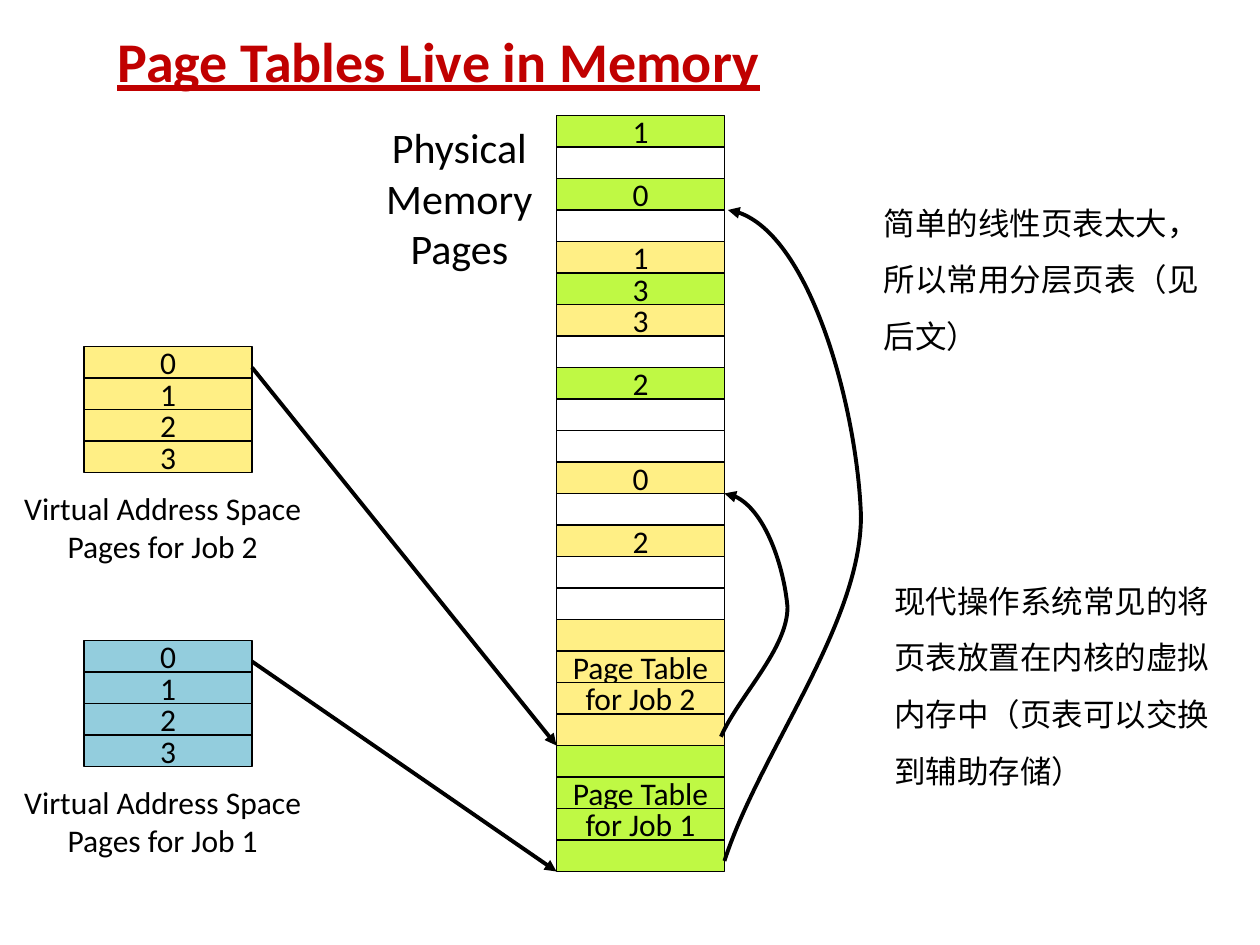
from lxml.etree import SubElement
from pptx import Presentation
from pptx.dml.color import RGBColor
from pptx.enum.shapes import MSO_CONNECTOR, MSO_SHAPE
from pptx.enum.text import MSO_ANCHOR, MSO_AUTO_SIZE, PP_ALIGN
from pptx.oxml.ns import qn
from pptx.util import Pt

THEME = {
    "latin": "Calibri", "cjk": "Noto Sans CJK SC",
    "title": 32, "label": 24, "body": 18,
    "red": "C00000", "black": "000000", "white": "FFFFFF",
    "blue": "93CDDD", "green": "BFF944", "yellow": "FFEF85",
}
CELL_W, CELL_H = 96, 18
JOB_X, MEMORY_X, MEMORY_Y = 48, 318, 66

TITLE = "Page Tables Live in Memory"
MEMORY_LABEL = ["Physical Memory", "Pages"]
JOBS = [
    ("Virtual Address Space Pages for Job 1", "blue", 366),
    ("Virtual Address Space Pages for Job 2", "yellow", 198),
]
MEMORY = [
    ("1", "green"), ("", "white"), ("0", "green"), ("", "white"),
    ("1", "yellow"), ("3", "green"), ("3", "yellow"), ("", "white"),
    ("2", "green"), ("", "white"), ("", "white"), ("0", "yellow"),
    ("", "white"), ("2", "yellow"), ("", "white"), ("", "white"),
]
PAGE_TABLES = [("Job 2", "yellow"), ("Job 1", "green")]
NOTES = [
    ("简单的线性页表太大，所以常用分层页表（见后文）", 498, 102, 101.5),
    ("现代操作系统常见的将页表放置在内核的虚拟内存中（页表可以交换到辅助存储）", 504, 318, 134),
]
ARROWS = [((144, 210), (318, 426)), ((144, 378), (318, 498))]
CURVES = [
    [(412.5, 421), (422, 397.5), (450, 371), (450, 347),
     (448.5, 324.5), (435, 283.5), (413.5, 281.5)],
    [(414, 492), (433.5, 430), (492, 357), (492, 295),
     (489.5, 234.5), (461, 126), (416, 120)],
]


def rgb(name):
    """Return a theme colour."""
    return RGBColor.from_string(THEME[name])


def set_font(p, size="body", color="black", face="latin"):
    """Style a whole paragraph."""
    p.font.name = THEME[face]
    p.font.size = Pt(THEME[size])
    p.font.color.rgb = rgb(color)
    if face == "cjk":
        ea = SubElement(p._p.pPr.find(qn("a:defRPr")), qn("a:ea"))
        ea.set("typeface", THEME[face])


def add_text(s, lines, x, y, w, h, align=None, spacing=None, **font):
    """Add a wrapping text box and return its text frame."""
    tf = s.shapes.add_textbox(Pt(x), Pt(y), Pt(w), Pt(h)).text_frame
    tf.word_wrap = True
    tf.auto_size = MSO_AUTO_SIZE.SHAPE_TO_FIT_TEXT
    tf.text = "\n".join(lines)
    for p in tf.paragraphs:
        p.alignment = align
        p.line_spacing = spacing
        set_font(p, **font)
    return tf


def add_stack(shapes, cells, x, y):
    """Stack page cells downwards from a top left corner."""
    for i, (text, color) in enumerate(cells):
        sp = shapes.add_shape(MSO_SHAPE.RECTANGLE, Pt(x), Pt(y + i * CELL_H), Pt(CELL_W), Pt(CELL_H))
        sp.shadow.inherit = False
        sp.fill.solid()
        sp.fill.fore_color.rgb = rgb(color)
        sp.line.color.rgb = rgb("black")
        sp.line.width = Pt(1)
        if text:
            tf = sp.text_frame
            tf.margin_left = tf.margin_right = tf.margin_top = tf.margin_bottom = 0
            tf.word_wrap = False
            tf.vertical_anchor = MSO_ANCHOR.MIDDLE
            tf.text = text
            p = tf.paragraphs[0]
            p.alignment = PP_ALIGN.CENTER
            set_font(p)


def style_arrow(sp):
    """Give a line its colour, width and arrowhead, without a shadow."""
    sp.line.color.rgb = rgb("black")
    sp.line.width = Pt(2.25)
    SubElement(sp.line._get_or_add_ln(), qn("a:tailEnd")).set("type", "triangle")
    SubElement(sp._element.spPr, qn("a:effectLst"))


def add_curve(s, points):
    """Draw a chain of cubic curves through start, control and end points."""
    fb = s.shapes.build_freeform(*points[0], scale=Pt(1))
    fb.add_line_segments(points[1:], close=False)
    sp = fb.convert_to_shape()
    segments = list(sp._element.iter(qn("a:lnTo")))
    for i in range(0, len(segments), 3):
        bezier = SubElement(segments[i].getparent(), qn("a:cubicBezTo"))
        for segment in segments[i:i + 3]:
            bezier.append(segment[0])
            segment.getparent().remove(segment)
    sp.fill.background()
    style_arrow(sp)


def main():
    """Build the slide and save it."""
    prs = Presentation()
    prs.slide_width, prs.slide_height = Pt(720), Pt(540)
    s = prs.slides.add_slide(prs.slide_layouts[6])

    tf = add_text(s, [TITLE], 60, 11.5, 612.5, 46, size="title", color="red")
    tf.paragraphs[0].font.bold = True
    tf.paragraphs[0].font.underline = True
    add_text(s, MEMORY_LABEL, 198, 66, 129, 94.5, PP_ALIGN.CENTER, size="label")

    for caption, color, y in JOBS:
        cells = [(str(n), color) for n in range(4)]
        add_stack(s.shapes.add_group_shape().shapes, cells, JOB_X, y)
        add_text(s, [caption], 6, y + 78, 174, 50.5, PP_ALIGN.CENTER)

    add_stack(s.shapes, MEMORY, MEMORY_X, MEMORY_Y)
    y = MEMORY_Y + len(MEMORY) * CELL_H
    for job, color in PAGE_TABLES:
        cells = [(text, color) for text in ("", "Page Table", f"for {job}", "")]
        add_stack(s.shapes.add_group_shape().shapes, cells, MEMORY_X, y)
        y += len(cells) * CELL_H

    for start, end in ARROWS:
        style_arrow(s.shapes.add_connector(MSO_CONNECTOR.STRAIGHT, *map(Pt, start + end)))
    for points in CURVES:
        add_curve(s, points)
    for text, x, y, h in NOTES:
        add_text(s, [text], x, y, 198, h, spacing=1.5, face="cjk")

    prs.save("out.pptx")


if __name__ == "__main__":
    main()
